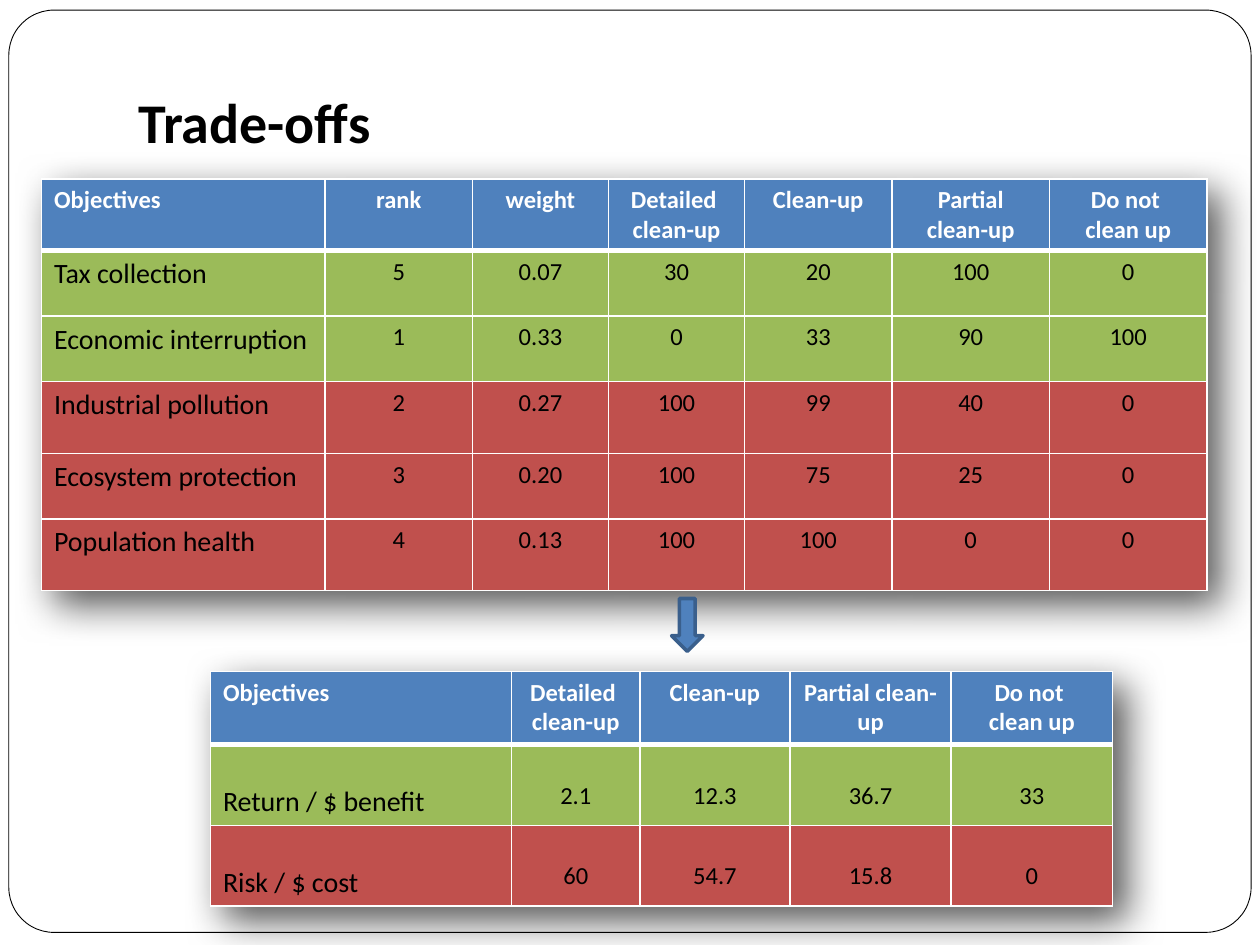
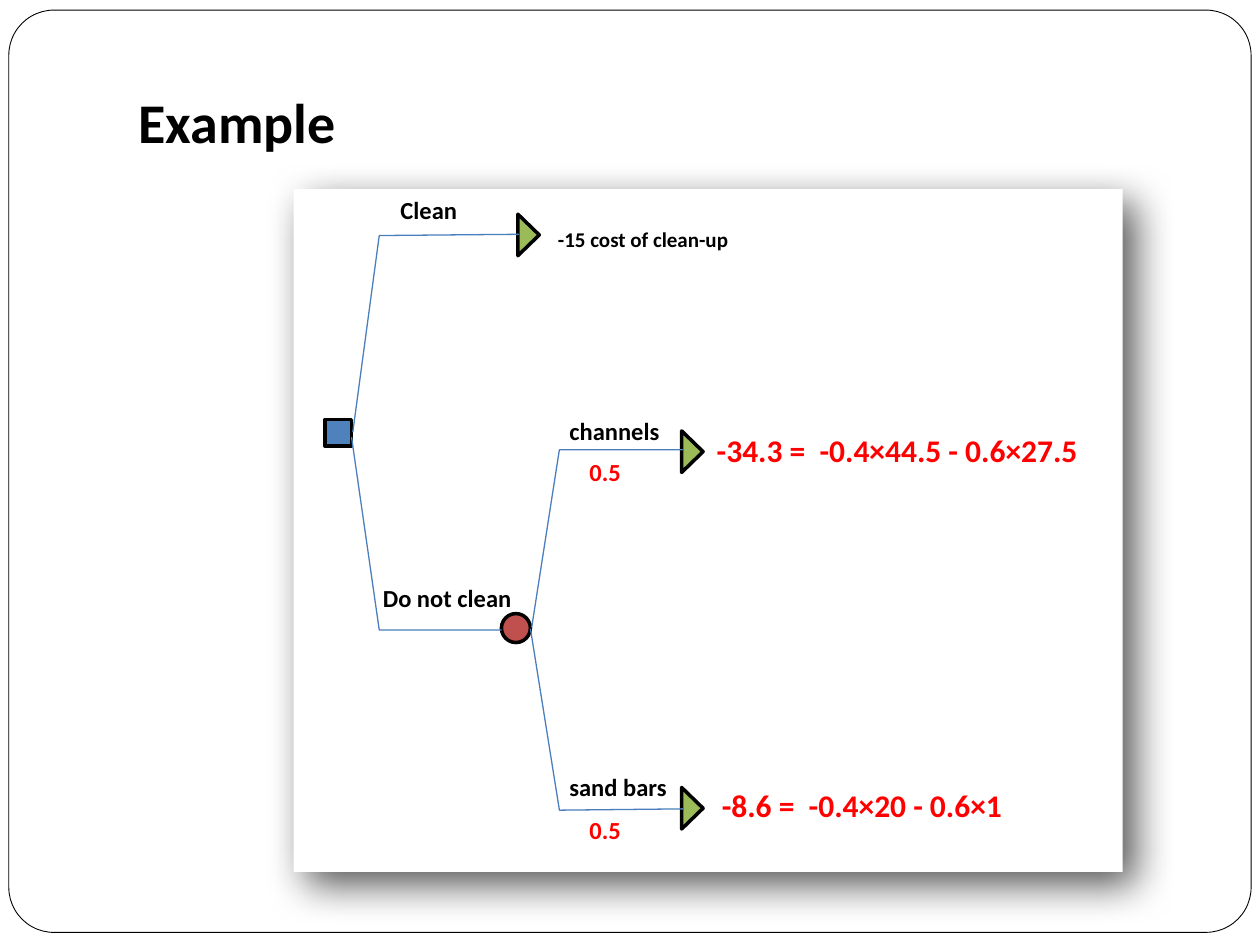
import lxml.etree
import pptx
import pptx.dml.color
import pptx.enum.shapes
import pptx.enum.text
import pptx.oxml.ns
import pptx.util

Inches = pptx.util.Inches
Pt = pptx.util.Pt
RGB = pptx.dml.color.RGBColor.from_string
Kind = pptx.enum.shapes.MSO_SHAPE
Align = pptx.enum.text.PP_ALIGN
qn = pptx.oxml.ns.qn


class Theme:
    font = "Calibri"
    black, white, red = "000000", "FFFFFF", "FF0000"
    blue, green, brick = "4F81BD", "9BBB59", "C0504D"
    edge, branch = "3A5F8C", "4B7EBC"
    title, result, label, body, small = 32, 18, 16, 14, 12


def write(frame, text, size=Theme.body, color=Theme.black, bold=True, align=Align.LEFT):
    """Put text in a frame, one paragraph per line."""
    for i, line in enumerate(text.split("\n")):
        para = frame.paragraphs[0] if i == 0 else frame.add_paragraph()
        para.alignment = align
        run = para.add_run()
        run.text = line
        run.font.name = Theme.font
        run.font.size = Pt(size)
        run.font.bold = bold
        run.font.color.rgb = RGB(color)


def paint(shape, fill=None, line=None, width=2):
    """Set fill and line, and drop the default shadow."""
    shape.shadow.inherit = False
    if fill:
        shape.fill.solid()
        shape.fill.fore_color.rgb = RGB(fill)
    else:
        shape.fill.background()
    if line:
        shape.line.color.rgb = RGB(line)
        shape.line.width = Pt(width)
    else:
        shape.line.fill.background()
    return shape


deck = pptx.Presentation()
deck.slide_width, deck.slide_height = Inches(10), Inches(7.5)

# Frame and title of each slide
slides = []
for title in ("Trade-offs", "Example"):
    slide = deck.slides.add_slide(deck.slide_layouts[6])
    frame = slide.shapes.add_shape(
        Kind.ROUNDED_RECTANGLE, Inches(0.07), Inches(0.08), Inches(9.86), Inches(7.32))
    frame.adjustments[0] = 0.049
    paint(frame, Theme.white, Theme.black, 0.5)
    box = slide.shapes.add_textbox(Inches(1), Inches(0.08), Inches(8.5), Inches(1.25))
    box.text_frame.word_wrap = True
    box.text_frame.vertical_anchor = pptx.enum.text.MSO_ANCHOR.BOTTOM
    box.text_frame.margin_bottom = Inches(0.1)
    write(box.text_frame, title, size=Theme.title)
    slides.append(slide)
trade, tree = (slide.shapes for slide in slides)
effects = []  # effect lists that get the soft shadow

# Slide 1: score table and result table
plans = ["Detailed \nclean-up", "Clean-up", "Partial clean-up", "Do not \nclean up"]
scores = [
    ["Objectives", "rank", "weight", *plans],
    ["Tax collection", "5", "0.07", "30", "20", "100", "0"],
    ["Economic interruption", "1", "0.33", "0", "33", "90", "100"],
    ["Industrial pollution", "2", "0.27", "100", "99", "40", "0"],
    ["Ecosystem protection", "3", "0.20", "100", "75", "25", "0"],
    ["Population health", "4", "0.13", "100", "100", "0", "0"],
]
totals = [
    ["Objectives", *plans],
    ["Return / $ benefit", "2.1", "12.3", "36.7", "33"],
    ["Risk / $ cost", "60", "54.7", "15.8", "0"],
]
# Each: rows, left, top, column widths, row heights, count of green rows, text one line down
tables = [
    (scores, 0.33, 1.42, [2.25, 1.17, 1.08, 1.08, 1.17, 1.25, 1.25],
     [0.57, 0.52, 0.52, 0.57, 0.52, 0.57], 2, False),
    (totals, 1.67, 5.33, [2.39, 1.02, 1.19, 1.28, 1.28], [0.58, 0.64, 0.64], 1, True),
]
for rows, left, top, widths, heights, greens, lower in tables:
    grid = trade.add_table(len(rows), len(widths), Inches(left), Inches(top),
                           Inches(sum(widths)), Inches(sum(heights))).table
    grid.horz_banding = False
    effect = lxml.etree.Element(qn("a:effectLst"))
    grid._tbl.tblPr.insert(0, effect)
    effects.append(effect)
    for col, width in zip(grid.columns, widths):
        col.width = Inches(width)
    for r, row in enumerate(rows):
        grid.rows[r].height = Inches(heights[r])
        head = r == 0
        fill = Theme.blue if head else Theme.green if r <= greens else Theme.brick
        for c, text in enumerate(row):
            cell = grid.cell(r, c)
            cell.fill.solid()
            cell.fill.fore_color.rgb = RGB(fill)
            size = Theme.label if c == 0 and not head else Theme.body
            if lower and not head:
                cell.margin_top = Inches(0.05) + Pt(size * 1.22)
            write(cell.text_frame, text, size=size, bold=head,
                  color=Theme.white if head else Theme.black,
                  align=Align.CENTER if c else Align.LEFT)
            # White borders, thick below the header
            thick = {"T": r == 1, "B": head}
            for i, side in enumerate("LRTB"):
                edge = lxml.etree.Element(
                    qn("a:ln" + side), w=str(Pt(3 if thick.get(side) else 1)))
                solid = lxml.etree.SubElement(edge, qn("a:solidFill"))
                lxml.etree.SubElement(solid, qn("a:srgbClr"), val=Theme.white)
                cell._tc.tcPr.insert(i, edge)

# Slide 1: arrow from scores to totals
arrow = trade.add_shape(Kind.DOWN_ARROW, Inches(5.33), Inches(4.75), Inches(0.25), Inches(0.42))
paint(arrow, Theme.blue, Theme.edge)

# Slide 2: panel and nodes of the tree
panel = tree.add_shape(Kind.RECTANGLE, Inches(2.33), Inches(1.5), Inches(6.58), Inches(5.42))
paint(panel, Theme.white)
effects.append(panel._element.spPr.find(qn("a:effectLst")))

nodes = [
    (Kind.RECTANGLE, 2.58, 3.33, 0.21, 0.21, Theme.blue, 0),
    (Kind.OVAL, 3.98, 4.87, 0.23, 0.23, Theme.brick, 0),
]
for left, top in ((4.03, 1.78), (5.33, 3.5), (5.33, 6.33)):
    nodes.append((Kind.ISOSCELES_TRIANGLE, left, top, 0.33, 0.17, Theme.green, 90))
for kind, left, top, width, height, fill, turn in nodes:
    node = tree.add_shape(kind, Inches(left), Inches(top), Inches(width), Inches(height))
    node.rotation = turn
    paint(node, fill, Theme.black)

# Slide 2: bent branches
branches = [
    [(2.8, 3.43), (3.01, 1.87), (4.12, 1.86)],
    [(2.79, 3.47), (3.01, 5), (3.98, 5)],
    [(4.22, 4.98), (4.44, 3.57), (5.42, 3.57)],
    [(4.21, 4.99), (4.44, 6.43), (5.42, 6.42)],
]
for points in branches:
    start, *rest = [(Inches(x), Inches(y)) for x, y in points]
    pen = tree.build_freeform(*start)
    pen.add_line_segments(rest, close=False)
    paint(pen.convert_to_shape(), line=Theme.branch, width=0.75)

# Slide 2: labels, odds and results
labels = [
    ("channels", 4.42, 3.25, 0.92, Theme.body, Theme.black),
    ("sand bars", 4.42, 6.08, 0.98, Theme.body, Theme.black),
    ("-15 cost of clean-up", 4.33, 1.75, 1.57, Theme.small, Theme.black),
    ("0.5", 4.58, 3.58, 0.45, Theme.body, Theme.red),
    ("0.5", 4.58, 6.42, 0.45, Theme.body, Theme.red),
    ("Clean", 3.08, 1.5, 0.65, Theme.body, Theme.black),
    ("Do not clean", 2.94, 4.58, 1.23, Theme.body, Theme.black),
    ("-34.3 =  -0.4×44.5 - 0.6×27.5", 5.59, 3.37, 3.1, Theme.result, Theme.red),
    ("-8.6 =  -0.4×20 - 0.6×1", 5.63, 6.19, 2.45, Theme.result, Theme.red),
]
for text, left, top, width, size, color in labels:
    height = Inches(0.1) + Pt(size * 1.22)
    box = tree.add_textbox(Inches(left), Inches(top), Inches(width), height)
    box.text_frame.word_wrap = False
    box.text_frame.auto_size = pptx.enum.text.MSO_AUTO_SIZE.SHAPE_TO_FIT_TEXT
    write(box.text_frame, text, size=size, color=color)

# Soft shadow of both tables and the panel
for effect in effects:
    shade = lxml.etree.SubElement(
        effect, qn("a:outerShdw"), blurRad=str(Pt(23)), dist=str(Pt(11)),
        dir=str(45 * 60000), algn="tl", rotWithShape="0")
    tint = lxml.etree.SubElement(shade, qn("a:srgbClr"), val=Theme.black)
    lxml.etree.SubElement(tint, qn("a:alpha"), val="65000")

deck.save("out.pptx")
